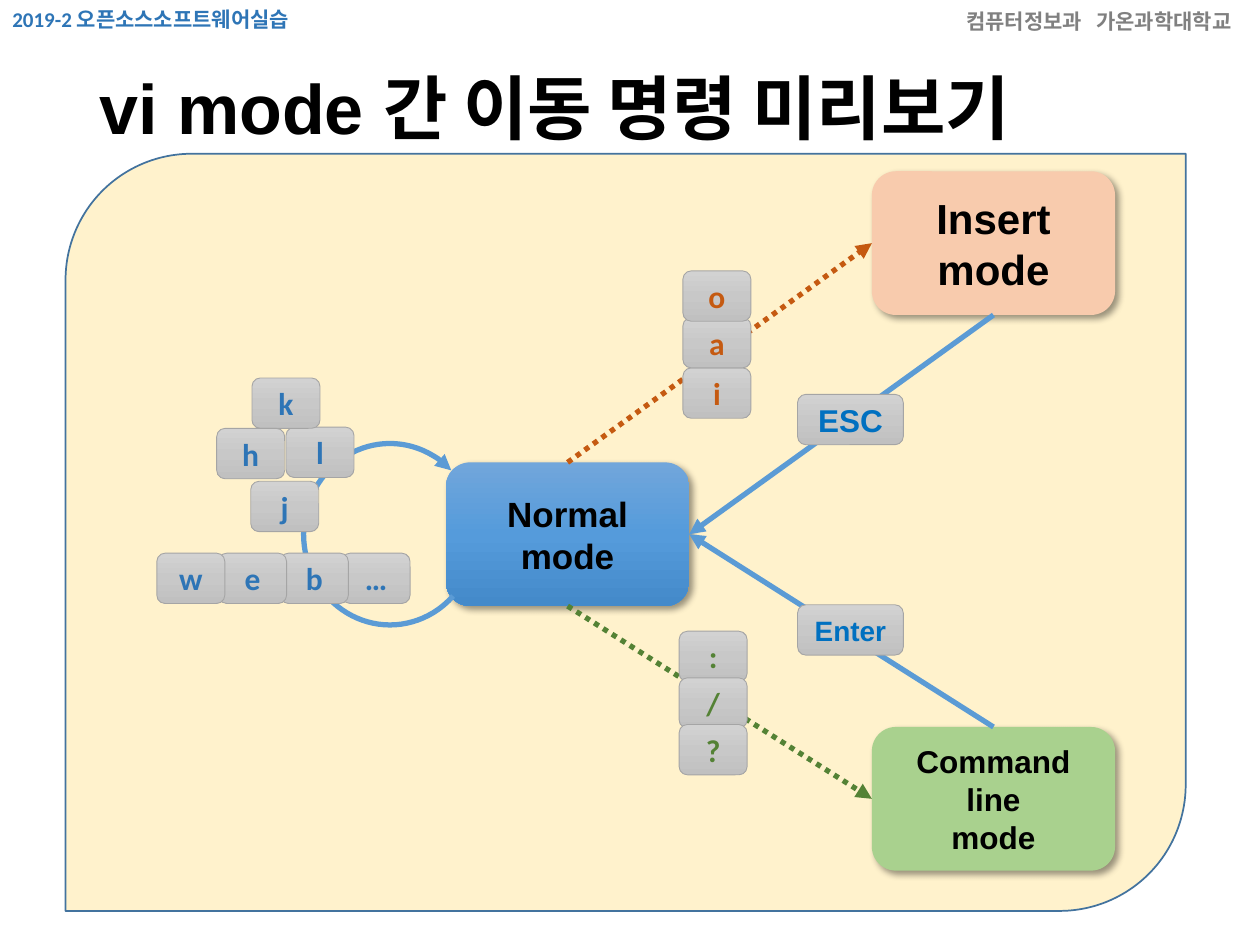
from copy import deepcopy
from dataclasses import dataclass

from lxml import etree
from pptx import Presentation
from pptx.dml.color import RGBColor
from pptx.enum.dml import MSO_LINE
from pptx.enum.shapes import MSO_CONNECTOR, MSO_SHAPE
from pptx.enum.text import MSO_ANCHOR, MSO_AUTO_SIZE, PP_ALIGN
from pptx.oxml.ns import qn
from pptx.util import Inches, Pt

CENTER, LEFT = PP_ALIGN.CENTER, PP_ALIGN.LEFT
MIDDLE = MSO_ANCHOR.MIDDLE
FIXED_SIZE = MSO_AUTO_SIZE.NONE
ROUNDED, PANEL, ARC = MSO_SHAPE.ROUNDED_RECTANGLE, MSO_SHAPE.ROUND_2_DIAG_RECTANGLE, MSO_SHAPE.ARC
STRAIGHT, DOTTED = MSO_CONNECTOR.STRAIGHT, MSO_LINE.ROUND_DOT
TOP_SITE, LEFT_SITE, BOTTOM_SITE, RIGHT_SITE = range(4)
TITLE_ONLY = 5
SLIDE_WIDTH, SLIDE_HEIGHT = Inches(10), Inches(7.5)
COLUMN, ROW = SLIDE_WIDTH / 100, SLIDE_HEIGHT / 75
KEY_WIDTH, KEY_HEIGHT = 5.4, 4


@dataclass(frozen=True)
class Theme:
    """Colours, fonts and type sizes of the slide."""
    heading_font: str = "Arial"
    key_font: str = "Calibri"
    black: str = "000000"
    gray: str = "808080"
    navy: str = "2E75B6"
    blue: str = "5B9BD5"
    escape: str = "0070C0"
    orange: str = "C55A11"
    green: str = "548235"
    panel: str = "FFF2CC"
    panel_line: str = "43739E"
    key_line: str = "A5A5A5"
    insert: str = "F8CBAD"
    command: str = "A9D18E"
    normal: tuple = ("71A6DB", "559BDB", "448ACA")
    key: tuple = ("D2D2D2", "C8C8C8", "C0C0C0")
    title_size: int = 40
    large: int = 24
    medium: int = 20
    regular: int = 18
    small: int = 16
    header_size: int = 12


THEME = Theme()


@dataclass(frozen=True)
class Box:
    """An area measured in grid columns and rows."""
    left: float
    top: float
    width: float
    height: float

    def inner(self, column, row, width, height):
        """Return a box offset from this one's corner."""
        return Box(self.left + column, self.top + row, width, height)

    def lengths(self):
        """Return left, top, width and height as slide lengths."""
        return (round(self.left * COLUMN), round(self.top * ROW),
                round(self.width * COLUMN), round(self.height * ROW))


def color(value):
    """Turn a hexadecimal value into a colour."""
    return RGBColor.from_string(value)


def write(shape, text, size, font, ink, alignment):
    """Write bold text into a shape."""
    shape.text_frame.text = text
    for paragraph in shape.text_frame.paragraphs:
        paragraph.alignment = alignment
        for run in paragraph.runs:
            run.font.name, run.font.size, run.font.bold = font, Pt(size), True
            run.font.color.rgb = color(ink)


def paint(shape, fill):
    """Fill a shape with one colour or a downward three-colour gradient."""
    if isinstance(fill, str):
        shape.fill.solid()
        shape.fill.fore_color.rgb = color(fill)
        return
    shape.fill.gradient()
    shape.fill.gradient_angle = 270
    first_stop = shape._element.spPr.find(".//" + qn("a:gs"))
    first_stop.addnext(deepcopy(first_stop))
    for index, stop in enumerate(shape.fill.gradient_stops):
        stop.position = index / 2
        stop.color.rgb = color(fill[index])


def add_block(slide, kind, box, fill, line=None, width=1):
    """Add a flat filled shape with an optional outline."""
    shape = slide.shapes.add_shape(kind, *box.lengths())
    shape.shadow.inherit = False
    paint(shape, fill)
    if line:
        shape.line.color.rgb = color(line)
        shape.line.width = Pt(width)
    else:
        shape.line.fill.background()
    return shape


def add_shadow(shape):
    """Give a shape a soft shadow to the lower right."""
    effects = shape._element.spPr.find(qn("a:effectLst"))
    shadow = etree.SubElement(effects, qn("a:outerShdw"), blurRad=str(Pt(4)), dist=str(Pt(3)),
                              dir="2700000", algn="tl", rotWithShape="0")
    shade = etree.SubElement(shadow, qn("a:srgbClr"), val=THEME.black)
    etree.SubElement(shade, qn("a:alpha"), val="40000")


def style_arrow(shape, ink, dash=None):
    """Draw a line shape as a thick arrow."""
    shape.line.color.rgb = color(ink)
    shape.line.width = Pt(3)
    if dash:
        shape.line.dash_style = dash
    etree.SubElement(shape._element.spPr.find(qn("a:ln")), qn("a:tailEnd"), type="triangle")


def add_header(slide, box, text, ink):
    """Add a small label at the top of the slide."""
    label = slide.shapes.add_textbox(*box.lengths())
    label.text_frame.word_wrap = False
    write(label, text, THEME.header_size, THEME.key_font, ink, LEFT)


def add_title(slide, box, text):
    """Place the title in front of the panel."""
    title = slide.shapes.title
    title.left, title.top, title.width, title.height = box.lengths()
    title._element.getparent().append(title._element)
    write(title, text, THEME.title_size, THEME.heading_font, THEME.black, LEFT)
    title.text_frame.auto_size = FIXED_SIZE
    title.text_frame.vertical_anchor = MIDDLE
    title.text_frame.paragraphs[0].line_spacing = 0.9


def add_mode(slide, box, text, size, fill):
    """Add the box of one editor mode."""
    mode = add_block(slide, ROUNDED, box, fill)
    add_shadow(mode)
    write(mode, text, size, THEME.heading_font, THEME.black, CENTER)
    mode.text_frame.vertical_anchor = MIDDLE
    return mode


def add_key(slide, box, text, ink, size=THEME.regular, font=THEME.key_font):
    """Add one keyboard key."""
    key = add_block(slide, ROUNDED, box, THEME.key, THEME.key_line, 0.5)
    write(key, text, size, font, ink, CENTER)
    key.text_frame.vertical_anchor = MIDDLE


def add_keys(slide, box, keys, ink):
    """Add keys, each given as text, column and row within the box."""
    for text, column, row in keys:
        add_key(slide, box.inner(column, row, KEY_WIDTH, KEY_HEIGHT), text, ink)


def add_transition(slide, start, start_site, end, end_site, ink, dash=None):
    """Connect two modes with an arrow."""
    arrow = slide.shapes.add_connector(STRAIGHT, 0, 0, 0, 0)
    arrow.begin_connect(start, start_site)
    arrow.end_connect(end, end_site)
    style_arrow(arrow, ink, dash)
    etree.SubElement(arrow._element.spPr, qn("a:effectLst"))


def add_movement(slide, box):
    """Add the loop of cursor keys that stay in normal mode."""
    loop = slide.shapes.add_shape(ARC, *box.inner(11.7, 5.2, 13.7, 14.4).lengths())
    loop.shadow.inherit = False
    loop.fill.background()
    loop.adjustments[0], loop.adjustments[1] = 26.632, 188.328
    style_arrow(loop, THEME.blue)
    words = [(text, 14.75 - 4.9 * index, 13.9) for index, text in enumerate("…bew")]
    arrows = [("l", 10.3, 3.9), ("j", 7.5, 8.2), ("k", 7.6, 0), ("h", 4.8, 4)]
    add_keys(slide, box, words + arrows, THEME.navy)


def add_diagram(slide, box):
    """Add the modes, the arrows between them and their keys."""
    add_block(slide, PANEL, box, THEME.panel, THEME.panel_line)
    normal = add_mode(slide, box.inner(30.2, 24.5, 19.3, 11.4), "Normal\nmode", THEME.medium, THEME.normal)
    insert = add_mode(slide, box.inner(64, 1.4, 19.3, 11.4), "Insert\nmode", THEME.large, THEME.insert)
    command = add_mode(slide, box.inner(64, 45.5, 19.3, 11.4), "Command line\nmode", THEME.regular, THEME.command)
    add_transition(slide, insert, BOTTOM_SITE, normal, RIGHT_SITE, THEME.blue)
    add_transition(slide, normal, TOP_SITE, insert, LEFT_SITE, THEME.orange, DOTTED)
    add_transition(slide, command, TOP_SITE, normal, RIGHT_SITE, THEME.blue)
    add_transition(slide, normal, BOTTOM_SITE, command, LEFT_SITE, THEME.green, DOTTED)
    for text, row, size in (("ESC", 19.1, THEME.regular), ("Enter", 35.8, THEME.small)):
        add_key(slide, box.inner(58.1, row, 8.4, KEY_HEIGHT), text, THEME.escape, size, THEME.heading_font)
    add_keys(slide, box, [("i", 49, 17), ("a", 49, 13), ("o", 49, 9.3)], THEME.orange)
    add_keys(slide, box, [(text, 48.7, 37.9 + 3.7 * index) for index, text in enumerate(":/?")], THEME.green)
    add_movement(slide, box.inner(7.2, 17.8, 25.4, 19.6))


def main():
    """Build and save the slide."""
    presentation = Presentation()
    presentation.slide_width, presentation.slide_height = SLIDE_WIDTH, SLIDE_HEIGHT
    slide = presentation.slides.add_slide(presentation.slide_layouts[TITLE_ONLY])
    add_header(slide, Box(0, 0, 25.7, 3), "2019-2 오픈소스소프트웨어실습", THEME.navy)
    add_header(slide, Box(75.7, 0.2, 25.1, 3), "컴퓨터정보과   가온과학대학교", THEME.gray)
    add_diagram(slide, Box(5.2, 12.2, 88.9, 60.1))
    add_title(slide, Box(6.9, 4, 86.2, 9.8), "vi mode 간 이동 명령 미리보기")
    presentation.save("out.pptx")


if __name__ == "__main__":
    main()
